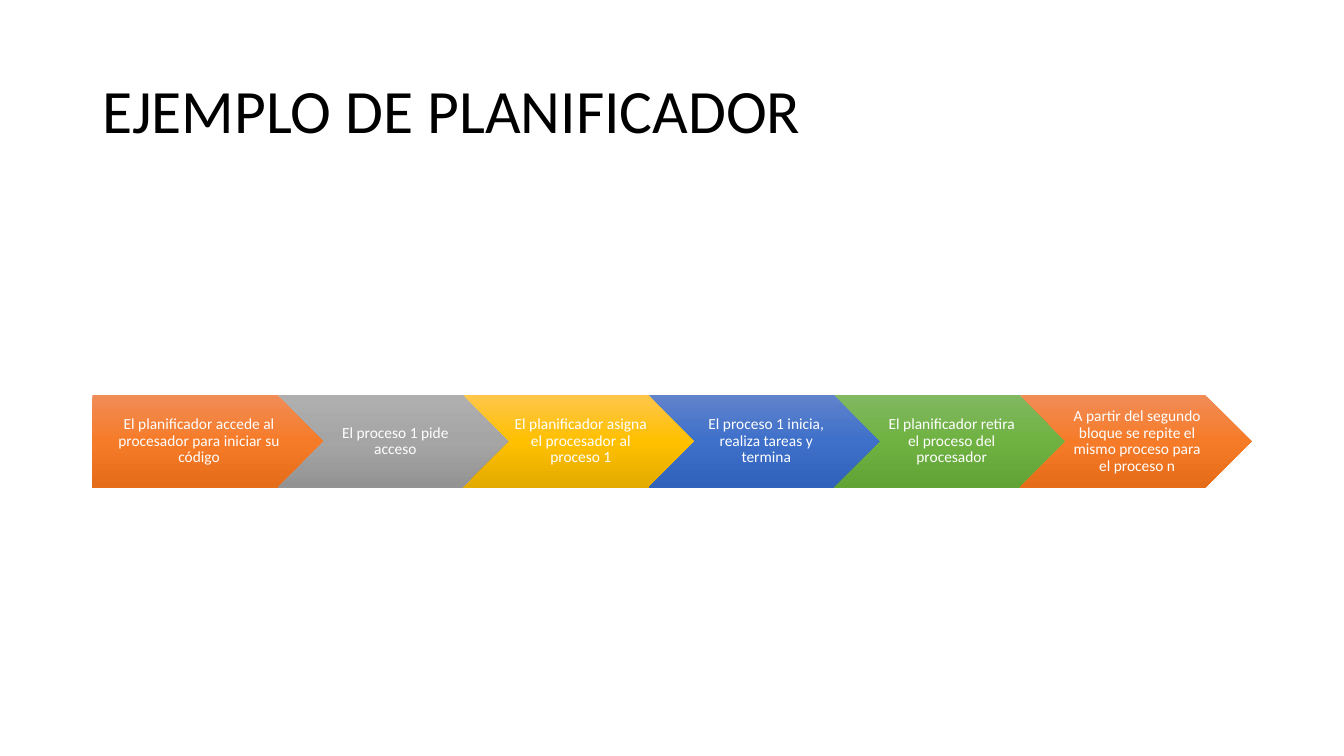
from copy import deepcopy
from dataclasses import dataclass

from pptx import Presentation
from pptx.dml.color import RGBColor
from pptx.enum.shapes import MSO_SHAPE
from pptx.enum.text import MSO_ANCHOR, PP_ALIGN
from pptx.shapes.autoshape import Shape
from pptx.slide import Slide
from pptx.text.text import TextFrame
from pptx.util import Pt

PENTAGON, CHEVRON = MSO_SHAPE.PENTAGON, MSO_SHAPE.CHEVRON
MIDDLE = MSO_ANCHOR.MIDDLE
LEFT, CENTER = PP_ALIGN.LEFT, PP_ALIGN.CENTER

FONT = "Calibri"
BLACK = RGBColor(0x00, 0x00, 0x00)
WHITE = RGBColor(0xFF, 0xFF, 0xFF)

# Light, middle and dark tone of each gradient
Gradient = tuple[RGBColor, RGBColor, RGBColor]
ORANGE = (RGBColor(0xF1, 0x8C, 0x57), RGBColor(0xF6, 0x7B, 0x28), RGBColor(0xE5, 0x6C, 0x19))
GRAY = (RGBColor(0xAF, 0xAF, 0xAF), RGBColor(0xA5, 0xA5, 0xA5), RGBColor(0x93, 0x93, 0x93))
YELLOW = (RGBColor(0xFF, 0xC6, 0x4B), RGBColor(0xFF, 0xC0, 0x00), RGBColor(0xE3, 0xAB, 0x00))
BLUE = (RGBColor(0x61, 0x83, 0xCB), RGBColor(0x3E, 0x70, 0xCA), RGBColor(0x30, 0x62, 0xBB))
GREEN = (RGBColor(0x81, 0xB8, 0x61), RGBColor(0x6F, 0xB2, 0x42), RGBColor(0x62, 0xA3, 0x36))

MARGIN = 66
STEP_TOP, STEP_WIDTH, STEP_HEIGHT = 282.1, 165.6, 66.24
STEP_PITCH = 0.8 * STEP_WIDTH


@dataclass(frozen=True)
class Step:
    text: str
    gradient: Gradient
    outline: MSO_SHAPE = CHEVRON
    left_inset: float = 3.47


STEPS = [
    Step("El planificador accede al procesador para iniciar su código", ORANGE, PENTAGON, 4.62),
    Step("El proceso 1 pide acceso", GRAY),
    Step("El planificador asigna el procesador al proceso 1", YELLOW),
    Step("El proceso 1 inicia, realiza tareas y termina", BLUE),
    Step("El planificador retira el proceso del procesador", GREEN),
    Step("A partir del segundo bloque se repite el mismo proceso para el proceso n", ORANGE),
]


def write_text(frame: TextFrame, text: str, size: float, color: RGBColor,
               alignment: PP_ALIGN) -> None:
    frame.word_wrap = True
    frame.vertical_anchor = MIDDLE
    paragraph = frame.paragraphs[0]
    paragraph.alignment = alignment
    paragraph.line_spacing = 0.9
    run = paragraph.add_run()
    run.text = text
    run.font.name = FONT
    run.font.size = Pt(size)
    run.font.color.rgb = color


def fill_gradient(shape: Shape, gradient: Gradient) -> None:
    """Fill from the first tone at the top to the last at the bottom."""
    shape.fill.gradient()
    shape.fill.gradient_angle = 270
    stop_list = shape.element.xpath(".//a:gsLst")[0]
    stop_list.append(deepcopy(stop_list[-1]))
    for index, (stop, color) in enumerate(zip(shape.fill.gradient_stops, gradient)):
        stop.position = index / 2
        stop.color.rgb = color


def add_title(slide: Slide, text: str) -> None:
    title = slide.shapes.add_textbox(Pt(MARGIN), Pt(28.75), Pt(828), Pt(104.4))
    write_text(title.text_frame, text, 44, BLACK, LEFT)


def add_step(slide: Slide, step: Step, left: float) -> None:
    shape = slide.shapes.add_shape(
        step.outline, Pt(left), Pt(STEP_TOP), Pt(STEP_WIDTH), Pt(STEP_HEIGHT))
    shape.shadow.inherit = False
    shape.line.fill.background()
    fill_gradient(shape, step.gradient)
    frame = shape.text_frame
    frame.margin_left, frame.margin_right = Pt(step.left_inset), Pt(1.16)
    frame.margin_top = frame.margin_bottom = Pt(2.31)
    write_text(frame, step.text, 11, WHITE, CENTER)


def main() -> None:
    presentation = Presentation()
    presentation.slide_width, presentation.slide_height = Pt(960), Pt(540)
    slide = presentation.slides.add_slide(presentation.slide_layouts[6])
    add_title(slide, "EJEMPLO DE PLANIFICADOR")
    for index, step in enumerate(STEPS):
        add_step(slide, step, MARGIN + index * STEP_PITCH)
    presentation.save("out.pptx")


if __name__ == "__main__":
    main()
